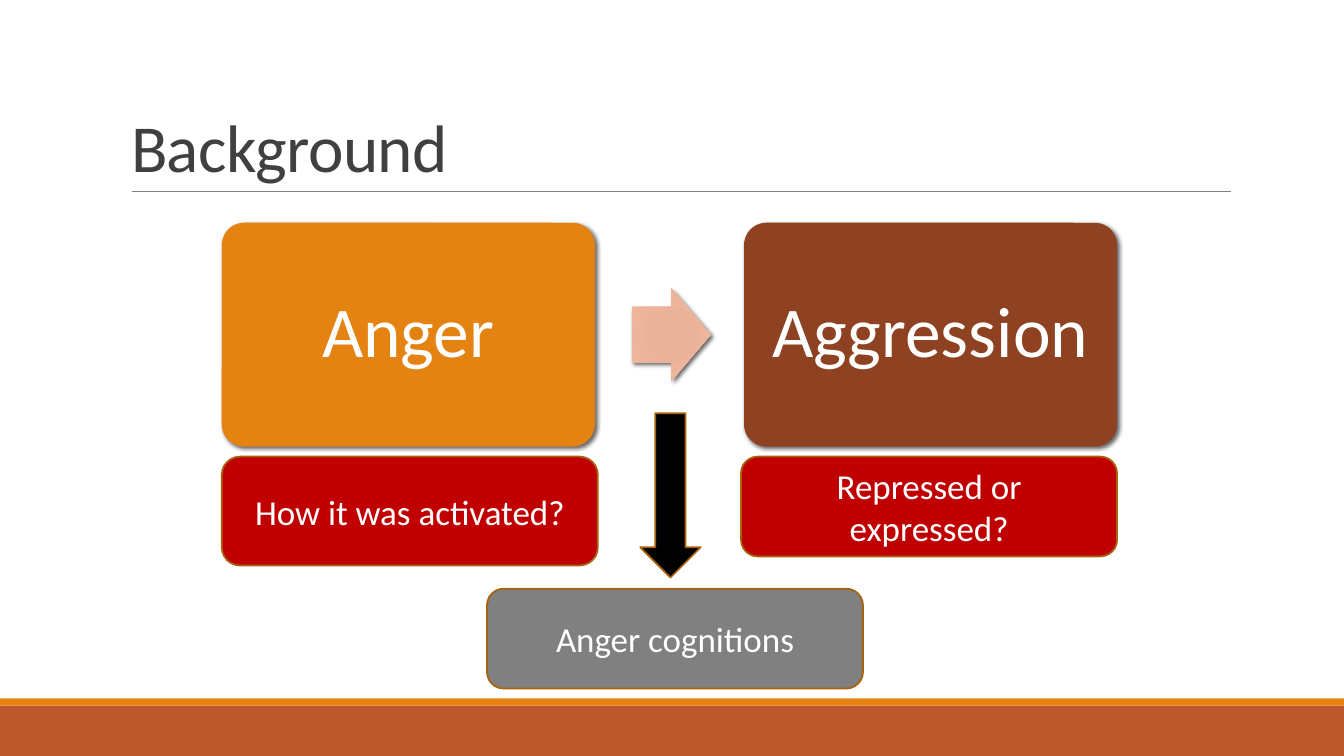
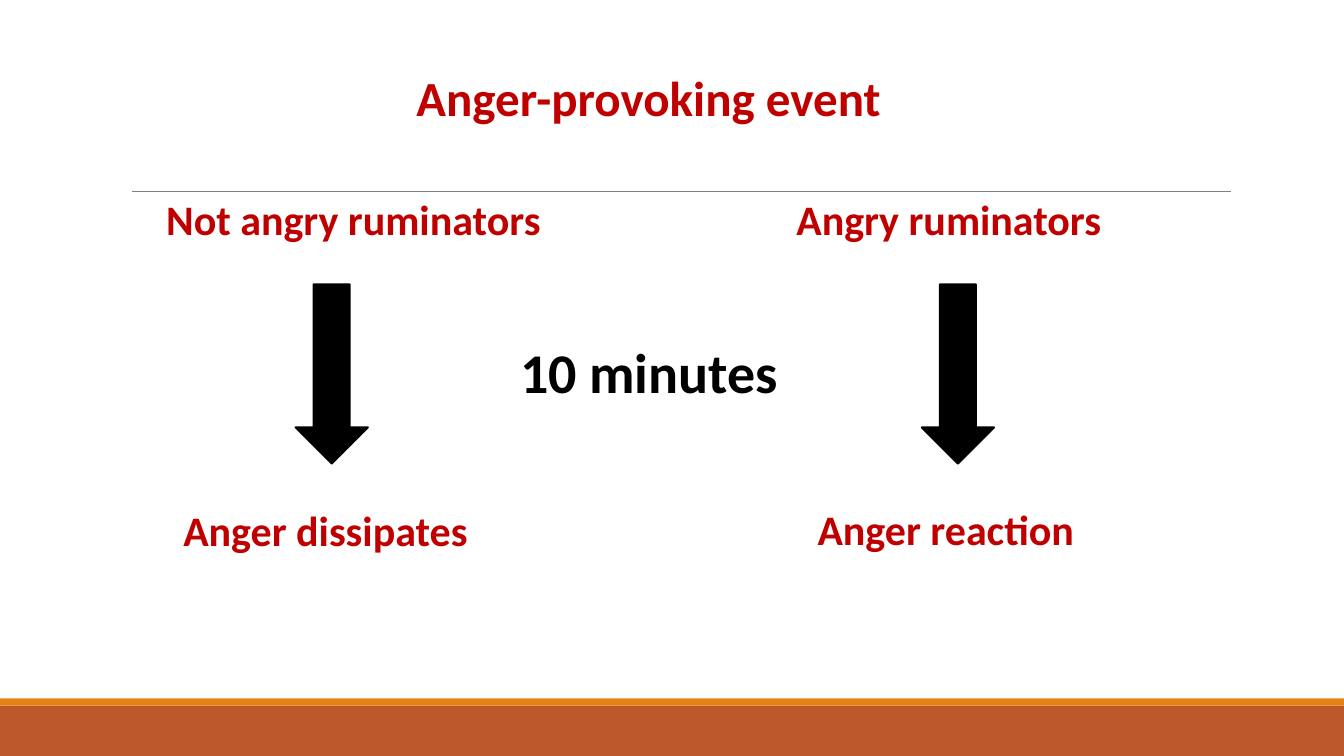
from dataclasses import dataclass

from lxml import etree
from pptx import Presentation
from pptx.dml.color import RGBColor
from pptx.enum.shapes import MSO_CONNECTOR, MSO_SHAPE
from pptx.enum.text import MSO_ANCHOR, MSO_AUTO_SIZE, PP_ALIGN
from pptx.oxml import parse_xml
from pptx.oxml.ns import nsdecls, qn
from pptx.shapes.autoshape import Shape
from pptx.slide import Slide
from pptx.util import Inches, Pt

FONT = "Calibri"
WHITE, BLACK, GRAY, CHARCOAL = "FFFFFF", "000000", "808080", "404040"
ORANGE, RUST, BROWN = "E48312", "BD582C", "8E4221"
RED, BRONZE = "C00000", "A9610D"
PEACH_STOPS = [(0, "E8B196"), (34, "E9B399"), (70, "EEB59A"), (100, "F3C0A8")]


@dataclass
class Box:
    left: float
    top: float
    width: float
    height: float

    def lengths(self) -> list[Inches]:
        return [Inches(v) for v in (self.left, self.top, self.width, self.height)]


@dataclass
class Card:
    text: str
    box: Box
    fill: str


@dataclass
class Label:
    text: str
    box: Box
    size: int = 30
    color: str = RED


def rgb(color: str) -> RGBColor:
    return RGBColor.from_string(color)


def add_shape(slide: Slide, kind: MSO_SHAPE, box: Box, fill: str,
              line: str | None = None) -> Shape:
    sp = slide.shapes.add_shape(kind, *box.lengths())
    sp.shadow.inherit = False
    sp.fill.solid()
    sp.fill.fore_color.rgb = rgb(fill)
    if line:
        sp.line.color.rgb = rgb(line)
        sp.line.width = Pt(1.25)
    else:
        sp.line.fill.background()
    return sp


def write(sp: Shape, text: str, size: int, color: str, bold: bool = False,
          align: PP_ALIGN = PP_ALIGN.LEFT, anchor: MSO_ANCHOR = MSO_ANCHOR.TOP,
          spacing: float = 1.0) -> None:
    tf = sp.text_frame
    tf.word_wrap = True
    tf.vertical_anchor = anchor
    p = tf.paragraphs[0]
    p.text = text
    p.alignment = align
    p.line_spacing = spacing
    p.font.name, p.font.size, p.font.bold = FONT, Pt(size), bold
    p.font.color.rgb = rgb(color)


def write_centered(sp: Shape, text: str, size: int, spacing: float = 1.0) -> None:
    write(sp, text, size, WHITE, align=PP_ALIGN.CENTER,
          anchor=MSO_ANCHOR.MIDDLE, spacing=spacing)


def add_shadow(sp: Shape) -> None:
    effects = sp._element.spPr.find(qn("a:effectLst"))
    effects.append(parse_xml(
        f'<a:outerShdw {nsdecls("a")} blurRad="{Pt(3)}" dist="{Pt(2)}" '
        'dir="2700000" algn="br" rotWithShape="0">'
        f'<a:srgbClr val="{BLACK}"><a:alpha val="60000"/></a:srgbClr></a:outerShdw>'))


def set_radial_fill(sp: Shape, stops: list[tuple[int, str]]) -> None:
    """Replace the solid fill by a circular gradient."""
    gradient = etree.Element(qn("a:gradFill"), rotWithShape="1")
    stop_list = etree.SubElement(gradient, qn("a:gsLst"))
    for percent, color in stops:
        stop = etree.SubElement(stop_list, qn("a:gs"), pos=str(percent * 1000))
        etree.SubElement(stop, qn("a:srgbClr"), val=color)
    circle = etree.SubElement(gradient, qn("a:path"), {"path": "circle"})
    etree.SubElement(circle, qn("a:fillToRect"), {side: "100000" for side in "ltrb"})
    spPr = sp._element.spPr
    spPr.replace(spPr.find(qn("a:solidFill")), gradient)


def add_slide(prs: Presentation) -> Slide:
    """Add a title-only slide with the footer bands and the title rule."""
    slide = prs.slides.add_slide(prs.slide_layouts[5])
    add_shape(slide, MSO_SHAPE.RECTANGLE, Box(0, 7, 13.33, 0.5), RUST)
    add_shape(slide, MSO_SHAPE.RECTANGLE, Box(0, 6.93, 13.33, 0.07), ORANGE)
    rule = slide.shapes.add_connector(
        MSO_CONNECTOR.STRAIGHT, Inches(1.31), Inches(1.9), Inches(12.21), Inches(1.9))
    rule.line.color.rgb = rgb(GRAY)
    rule.line.width = Pt(0.5)
    etree.SubElement(rule._element.spPr, qn("a:effectLst"))
    return slide


def place_title(slide: Slide, box: Box) -> Shape:
    title = slide.shapes.title
    title.left, title.top, title.width, title.height = box.lengths()
    title.text_frame.auto_size = MSO_AUTO_SIZE.NONE
    return title


def add_label(slide: Slide, label: Label) -> None:
    sp = slide.shapes.add_textbox(*label.box.lengths())
    write(sp, label.text, label.size, label.color, bold=True)
    sp.text_frame.auto_size = MSO_AUTO_SIZE.SHAPE_TO_FIT_TEXT


def add_concept(slide: Slide, card: Card) -> None:
    sp = add_shape(slide, MSO_SHAPE.ROUNDED_RECTANGLE, card.box, card.fill)
    sp.adjustments[0] = 0.1
    add_shadow(sp)
    tf = sp.text_frame
    tf.margin_left = tf.margin_right = tf.margin_top = tf.margin_bottom = Inches(0.2)
    write_centered(sp, card.text, 51, 0.9)


def add_question(slide: Slide, card: Card) -> None:
    sp = add_shape(slide, MSO_SHAPE.ROUNDED_RECTANGLE, card.box, card.fill, BRONZE)
    write_centered(sp, card.text, 25)


def build_background(prs: Presentation) -> None:
    slide = add_slide(prs)
    title = place_title(slide, Box(1.2, 0.31, 11, 1.59))
    write(title, "Background", 48, CHARCOAL, anchor=MSO_ANCHOR.BOTTOM, spacing=0.85)
    title.text_frame.paragraphs[0]._p.pPr.find(qn("a:defRPr")).set("spc", "-50")

    for card in (Card("Anger", Box(2.2, 2.21, 3.7, 2.22), ORANGE),
                 Card("Aggression", Box(7.38, 2.21, 3.7, 2.22), BROWN)):
        add_concept(slide, card)

    leads_to = add_shape(slide, MSO_SHAPE.RIGHT_ARROW, Box(6.27, 2.86, 0.78, 0.92),
                         PEACH_STOPS[0][1])
    leads_to.adjustments[0] = 0.6
    set_radial_fill(leads_to, PEACH_STOPS)
    add_shadow(leads_to)

    for card in (Card("How it was activated?", Box(2.2, 4.53, 3.73, 1.08), RED),
                 Card("Repressed or expressed?", Box(7.35, 4.53, 3.73, 0.99), RED),
                 Card("Anger cognitions", Box(4.83, 5.84, 3.73, 0.99), GRAY)):
        add_question(slide, card)
    add_shape(slide, MSO_SHAPE.DOWN_ARROW, Box(6.35, 4.1, 0.6, 1.63), BLACK, BRONZE)


def build_event(prs: Presentation) -> None:
    slide = add_slide(prs)
    title = place_title(slide, Box(4.03, 0.62, 6.67, 0.69))
    write(title, "Anger-provoking event", 35, RED, bold=True)

    for label in (Label("Not angry ruminators", Box(1.55, 1.87, 4.96, 0.61)),
                  Label("Anger dissipates", Box(1.72, 4.96, 3.94, 0.61)),
                  Label("Angry ruminators", Box(7.8, 1.87, 4.12, 0.61)),
                  Label("Anger reaction", Box(8.01, 4.95, 3.41, 0.61)),
                  Label("10 minutes", Box(5.06, 3.3, 3.2, 0.77), 40, BLACK)):
        add_label(slide, label)
    for left in (2.93, 9.14):
        add_shape(slide, MSO_SHAPE.DOWN_ARROW, Box(left, 2.82, 0.72, 1.78), BLACK, BLACK)


def main() -> None:
    prs = Presentation()
    prs.slide_width, prs.slide_height = Inches(13.33), Inches(7.5)
    build_background(prs)
    build_event(prs)
    prs.save("out.pptx")


if __name__ == "__main__":
    main()
